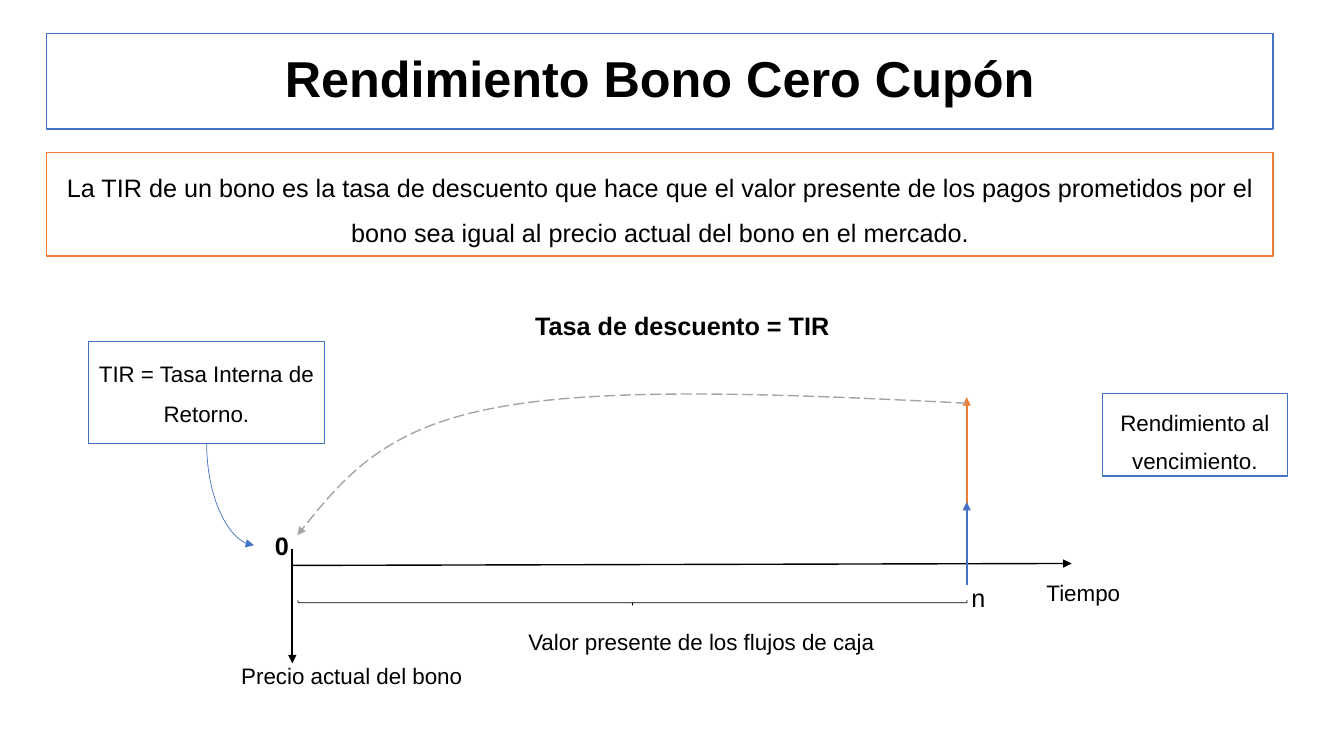
"""Builds the slide on the yield of a zero coupon bond."""
from lxml import etree
from pptx import Presentation
from pptx.dml.color import RGBColor
from pptx.enum import dml, shapes, text
from pptx.oxml import ns
from pptx.util import Pt

BLACK = RGBColor(0, 0, 0)
WHITE = RGBColor(255, 255, 255)
BLUE = RGBColor(0x44, 0x72, 0xC4)
ORANGE = RGBColor(0xED, 0x7D, 0x31)
GRAY = RGBColor(0xA5, 0xA5, 0xA5)


def write(box, words, size, bold=False, lead=1.0, before=0):
    """Fill a box with one centred paragraph."""
    frame = box.text_frame
    frame.word_wrap = True
    frame.margin_left = frame.margin_right = Pt(6)
    frame.vertical_anchor = text.MSO_ANCHOR.TOP
    para = frame.paragraphs[0]
    para.text = words
    para.alignment = text.PP_ALIGN.CENTER
    para.line_spacing = lead
    para.space_before = Pt(before)
    para.font.name = "Arial"
    para.font.size = Pt(size)
    para.font.bold = bold
    para.font.color.rgb = BLACK


def arrow(line, color, width):
    """Style a line and give its end a triangle."""
    line.line.color.rgb = color
    line.line.width = Pt(width)
    props = line._element.spPr
    tail = etree.SubElement(props.find(ns.qn("a:ln")), ns.qn("a:tailEnd"))
    tail.set("type", "triangle")
    if props.find(ns.qn("a:effectLst")) is None:
        etree.SubElement(props, ns.qn("a:effectLst"))


deck = Presentation()
deck.slide_width, deck.slide_height = Pt(960), Pt(540)
slide = deck.slides.add_slide(deck.slide_layouts[5])
items = slide.shapes

title = items.title
title.left, title.top, title.width, title.height = Pt(33.4), Pt(23.8), Pt(876), Pt(68.4)
write(title, "Rendimiento Bono Cero Cupón", 36, True, 0.9)
title.text_frame.vertical_anchor = text.MSO_ANCHOR.MIDDLE
title.fill.solid()
title.fill.fore_color.rgb = WHITE
title.line.color.rgb = BLUE
title.line.width = Pt(1)

boxes = [
    (33.4, 108.8, 876, 74, ORANGE, 18, 1.5, 10,
     "La TIR de un bono es la tasa de descuento que hace que el valor presente "
     "de los pagos prometidos por el bono sea igual al precio actual del bono en el mercado."),
    (63.2, 244, 168.5, 72.8, BLUE, 16, 1.5, 3.2, "TIR = Tasa Interna de Retorno."),
    (787.5, 281.2, 132, 58.8, BLUE, 16, 1.4, 3.2, "Rendimiento al vencimiento."),
]
for left, top, width, height, color, size, lead, before, words in boxes:
    box = items.add_shape(shapes.MSO_SHAPE.RECTANGLE, Pt(left), Pt(top), Pt(width), Pt(height))
    box.shadow.inherit = False
    box.fill.solid()
    box.fill.fore_color.rgb = WHITE
    box.line.color.rgb = color
    box.line.width = Pt(1)
    write(box, words, size, lead=lead, before=before)

labels = [
    (181.4, 375, 40, 18, True, "0"),
    (707.8, 410.4, 132, 16, False, "Tiempo"),
    (321, 445, 360, 16, False, "Valor presente de los flujos de caja"),
    (342.7, 218.2, 289.4, 18, True, "Tasa de descuento = TIR"),
    (71.3, 469.4, 360, 16, False, "Precio actual del bono"),
    (675.4, 412.6, 46.8, 18, False, "n"),
]
for left, top, width, size, bold, words in labels:
    label = items.add_textbox(Pt(left), Pt(top), Pt(width), Pt(size + 10.8))
    write(label, words, size, bold)

arrows = [
    (690.5, 402.5, 690.5, 283.7, ORANGE, 1.5),
    (208.8, 403.9, 765.4, 402.5, BLACK, 1),
    (690.5, 417.6, 690.5, 358.6, BLUE, 1.5),
    (208.8, 392.4, 208.8, 473.8, BLACK, 1.5),
]
for *ends, color, width in arrows:
    axis = items.add_connector(shapes.MSO_CONNECTOR.STRAIGHT, *map(Pt, ends))
    arrow(axis, color, width)

bend = items.add_connector(shapes.MSO_CONNECTOR.CURVE, Pt(200.9), Pt(336.2), Pt(128.2), Pt(370))
arrow(bend, BLUE, 0.5)
bend._element.spPr.find(ns.qn("a:xfrm")).set("rot", "16200000")
bend._element.spPr.find(ns.qn("a:prstGeom")).set("prst", "curvedConnector2")

brace = items.add_shape(shapes.MSO_SHAPE.LEFT_BRACE, Pt(450), Pt(191.5), Pt(3.6), Pt(478))
brace.rotation = 270
brace.shadow.inherit = False
brace.fill.background()
brace.line.color.rgb = BLACK
brace.line.width = Pt(0.5)

knots = [(561.6, 281.5), (432, 275.8), (352.1, 291.6),
         (272.9, 306.7), (242.6, 344.9), (212.4, 382.3)]
pen = items.build_freeform(Pt(690.5), Pt(288))
pen.add_line_segments([(Pt(x), Pt(y)) for x, y in knots], close=False)
arc = pen.convert_to_shape()
arc.shadow.inherit = False
arc.fill.background()
arc.line.dash_style = dml.MSO_LINE.LONG_DASH
arrow(arc, GRAY, 1)
track = arc._element.spPr.find(".//" + ns.qn("a:path"))
steps = track.findall(ns.qn("a:lnTo"))
for first in range(0, len(steps), 3):
    curve = etree.SubElement(track, ns.qn("a:cubicBezTo"))
    for step in steps[first:first + 3]:
        curve.append(step[0])
        track.remove(step)

deck.save("out.pptx")
